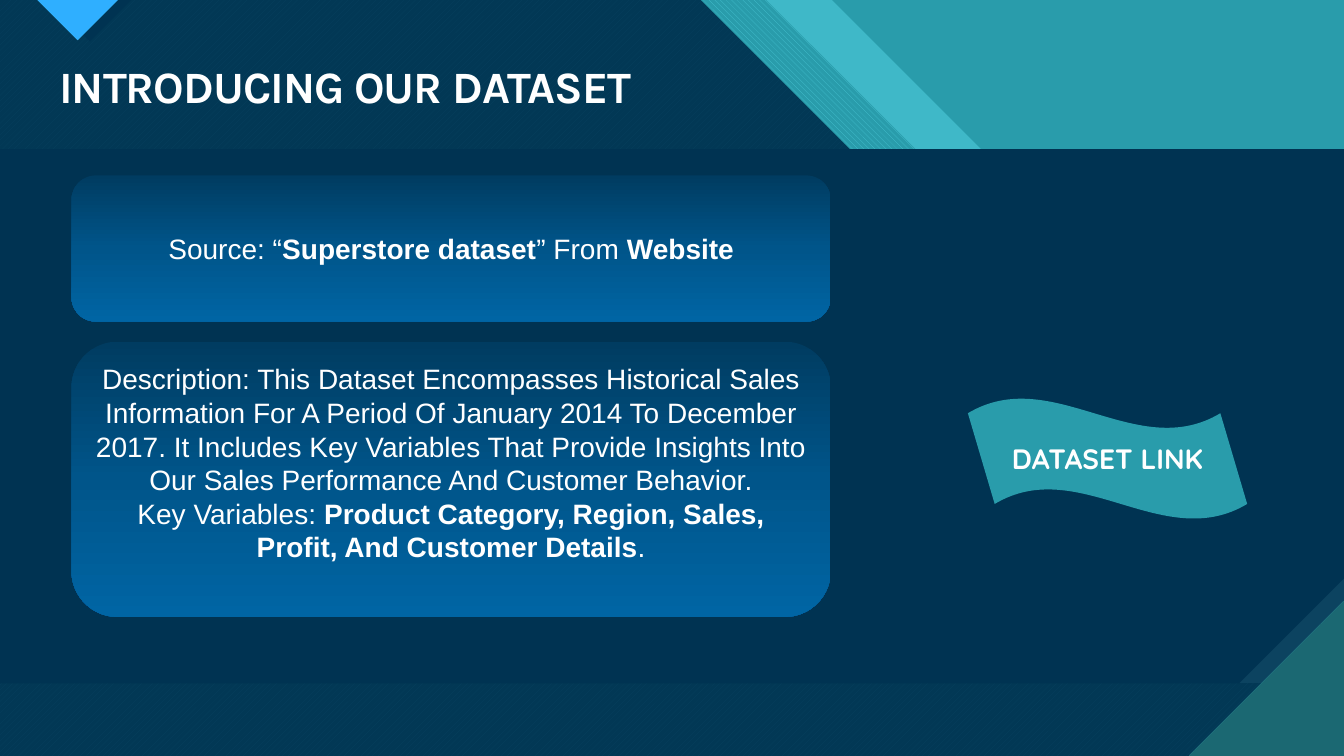
from lxml import etree
from pptx import Presentation
from pptx import util as u
from pptx.dml.color import RGBColor
from pptx.enum import dml, shapes, text
from pptx.oxml.ns import qn

WIDE, HIGH = 13.33, 7.5
TOP, LOW, SNIP = 1.48, 6.78, 1.04
HUES = dict(teal="299CAB", aqua="47C3D3", deep="1B6872", navy="003352",
            slate="0C4360", sky="2FAFFF", white="FFFFFF")
GRADE = [(0, "003C61"), (50, "00558A"), (100, "0065A4")]
P = dml.MSO_PATTERN


def band(left):
    return [(0, 0), (left, 0), (WIDE, WIDE - left), (WIDE, HIGH), (0, HIGH)]


def tip(left, right):
    return [(left, 0), (right, 0), ((left + right) / 2, (right - left) / 2)]


def panel(cut):
    return [(0, TOP), (WIDE, TOP), (WIDE, LOW - cut), (WIDE - cut, LOW), (0, LOW)]


DECOR = [
    (band(WIDE), dict(fore="teal")),
    (band(8.25), dict(fore="aqua", alpha=74)),
    (band(7.6), dict(fore="aqua", back="teal", kind=P.WIDE_DOWNWARD_DIAGONAL)),
    (band(6.95), dict(fore="aqua", back="deep", kind=P.WIDE_UPWARD_DIAGONAL)),
    (band(6.95), dict(fore="navy", alpha=90)),
    (tip(0.48, 1.3), dict(fore="navy")),
    (tip(0.37, 1.17), dict(fore="sky", back="deep", kind=P.DARK_HORIZONTAL)),
    (panel(0), dict(fore="slate", back="deep", kind=P.DARK_VERTICAL)),
    (panel(SNIP), dict(fore="navy")),
    ([(11.79, HIGH), (WIDE, HIGH), (WIDE, 5.96)],
     dict(fore="deep", back="aqua", kind=P.DARK_HORIZONTAL)),
]

TITLE = [[("INTRODUCING OUR DATASET", True)]]
SOURCE = [[("Source: “", False), ("Superstore dataset", True),
           ("” From ", False), ("Website", True)]]
ABOUT = [
    [("Description: This Dataset Encompasses Historical Sales Information For A "
      "Period Of January 2014 To December 2017. It Includes Key Variables That "
      "Provide Insights Into Our Sales Performance And Customer Behavior.", False)],
    [("Key Variables: ", False),
     ("Product Category, Region, Sales, Profit, And Customer Details", True),
     (".", False)],
]
LINK = [[("DATASET LINK", True)]]
CARDS = [((0.71, 1.74, 7.53, 1.45), SOURCE, 0.05),
         ((0.71, 3.39, 7.53, 2.73), ABOUT, 0.38)]


def tint(name):
    return RGBColor.from_string(HUES[name])


def paint(shape, fore, back=None, kind=None, alpha=None):
    shape.shadow.inherit = False
    shape.line.fill.background()
    fill = shape.fill
    if kind is None:
        fill.solid()
    else:
        fill.patterned()
        fill.pattern = kind
        fill.back_color.rgb = tint(back)
    fill.fore_color.rgb = tint(fore)
    if alpha:
        hue = next(shape.element.spPr.iter(qn("a:srgbClr")))
        etree.SubElement(hue, qn("a:alpha")).set("val", str(alpha * 1000))


def shade(shape):
    shape.fill.gradient()
    shape.fill.gradient_angle = 270
    stops = next(shape.element.spPr.iter(qn("a:gsLst")))
    for stop in list(stops):
        stops.remove(stop)
    for place, hue in GRADE:
        stop = etree.SubElement(stops, qn("a:gs"), pos=str(place * 1000))
        etree.SubElement(stop, qn("a:srgbClr"), val=hue)


def write(shape, lines, face="Arial", size=20, foot=0.05, track=None, **look):
    frame = shape.text_frame
    form = dict(word_wrap=True, vertical_anchor=text.MSO_ANCHOR.MIDDLE,
                margin_bottom=u.Inches(foot))
    for key, value in form.items():
        setattr(frame, key, value)
    look = dict(dict(alignment=text.PP_ALIGN.CENTER), **look)
    for spot, line in enumerate(lines):
        para = frame.add_paragraph() if spot else frame.paragraphs[0]
        for key, value in look.items():
            setattr(para, key, value)
        for words, bold in line:
            run = para.add_run()
            run.text = words
            for key, value in dict(name=face, size=u.Pt(size), bold=bold).items():
                setattr(run.font, key, value)
            run.font.color.rgb = tint("white")
            if track:
                run.font._element.set("spc", str(track))


def box(*sides):
    return [u.Inches(side) for side in sides]


def main():
    deck = Presentation()
    deck.slide_width, deck.slide_height = box(WIDE, HIGH)
    slide = deck.slides.add_slide(deck.slide_layouts[6])
    slide.background.fill.solid()
    slide.background.fill.fore_color.rgb = tint("aqua")
    parts = slide.shapes

    for points, style in DECOR:
        first, *rest = [box(*point) for point in points]
        trace = parts.build_freeform(*first)
        trace.add_line_segments(rest, close=True)
        paint(trace.convert_to_shape(), **style)

    head = parts.add_textbox(*box(0.49, 0.59, 12.26, 0.59))
    write(head, TITLE, "Karla", 32, track=-70,
          alignment=text.PP_ALIGN.LEFT, line_spacing=0.9)

    for place, lines, foot in CARDS:
        card = parts.add_shape(shapes.MSO_SHAPE.ROUNDED_RECTANGLE, *box(*place))
        paint(card, "navy")
        shade(card)
        write(card, lines, foot=foot)

    flag = parts.add_shape(shapes.MSO_SHAPE.WAVE, *box(9.6, 3.95, 2.77, 1.2))
    flag.adjustments[0], flag.adjustments[1] = 0.125, 0.048
    paint(flag, "teal")
    write(flag, LINK, "Quicksand")

    deck.save("out.pptx")


if __name__ == "__main__":
    main()
